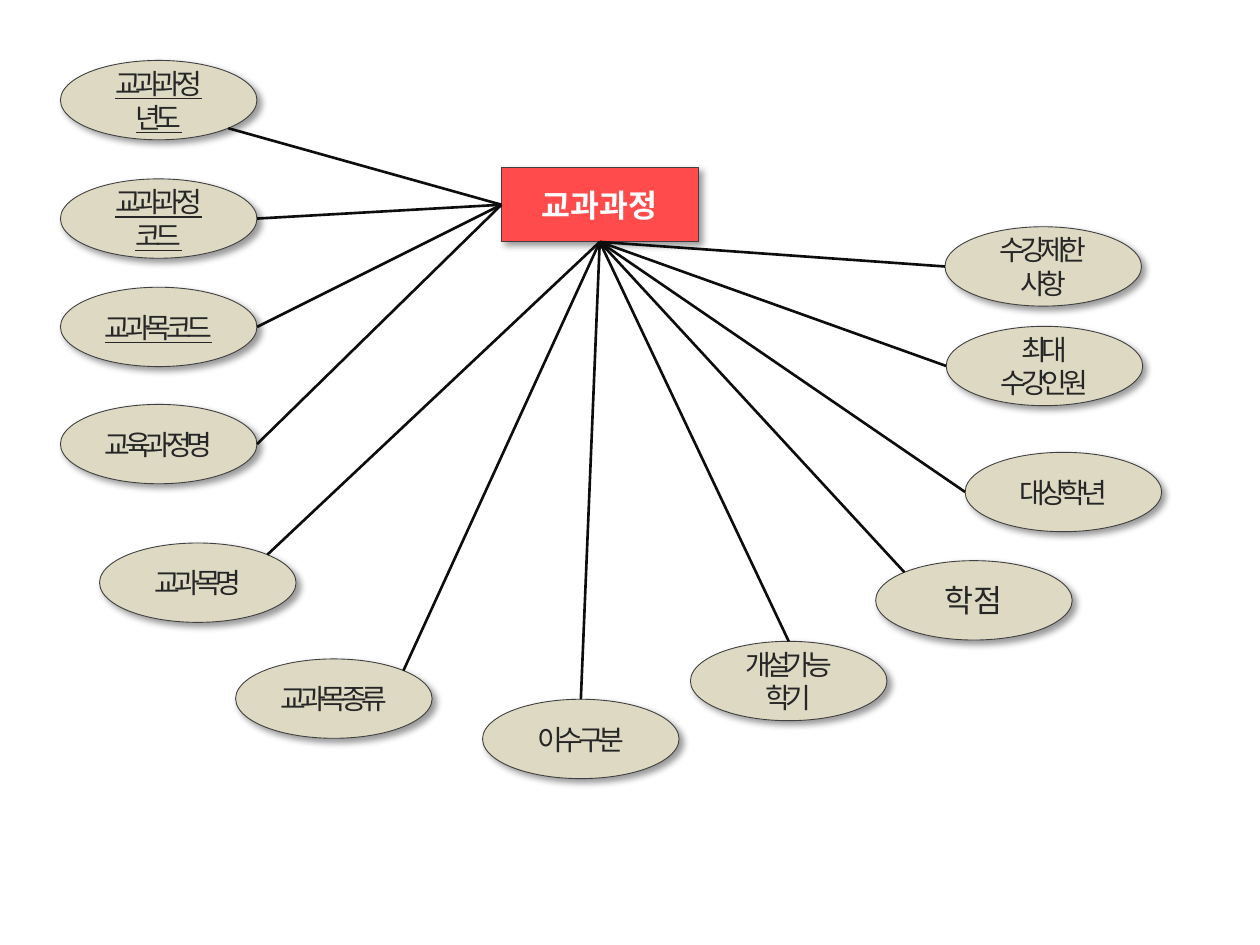
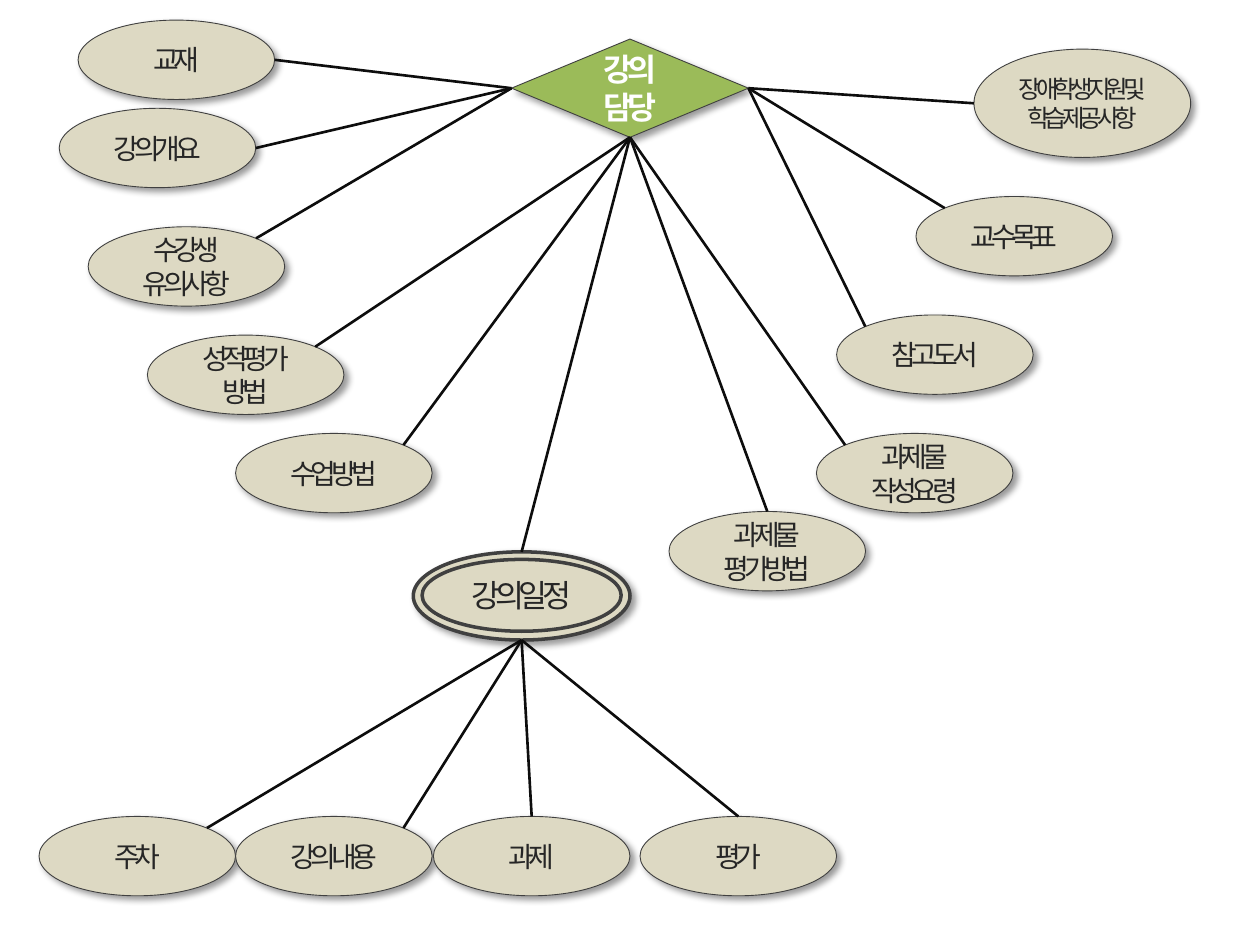
from dataclasses import dataclass

from lxml import etree
from pptx import Presentation
from pptx.dml.color import RGBColor
from pptx.enum.shapes import MSO_CONNECTOR as Connector, MSO_SHAPE as Shape
from pptx.enum.text import MSO_ANCHOR as Anchor, PP_ALIGN as Align
from pptx.oxml import parse_xml
from pptx.oxml.ns import nsdecls, qn
from pptx.util import Inches, Pt

FONT = "Noto Sans CJK KR"
OVAL_FILL = "DDD9C3"
ENTITY_FILL = "FF4B4B"
RELATION_FILL = "9BBB59"
OUTLINE = "404040"
INK = "262626"
WHITE = "FFFFFF"
LINK = "0D0D0D"

# 4 pt blur, 3 pt offset towards the lower right, 40 % black
SHADOW = (
    f'<a:outerShdw {nsdecls("a")} blurRad="50800" dist="38100" dir="2700000" '
    'algn="tl" rotWithShape="0"><a:srgbClr val="000000">'
    '<a:alpha val="40000"/></a:srgbClr></a:outerShdw>'
)

# Where a link meets a node, as fractions of its width and height
SITES = {
    "top": (0.5, 0), "bottom": (0.5, 1), "left": (0, 0.5), "right": (1, 0.5),
    "top left": (0.146, 0.146), "top right": (0.854, 0.146),
    "bottom right": (0.854, 0.854),
}


@dataclass
class Attribute:
    """An oval of the diagram and the sites its link joins."""
    label: str
    left: float
    top: float
    hub_site: str
    site: str
    width: float = 1.56
    height: float = 0.63
    size: int = 16
    spacing: int = -3
    key: bool = False


def rgb(value):
    """Turn a hex string into a colour."""
    return RGBColor.from_string(value)


def add_node(shapes, kind, box, label="", fill=OVAL_FILL, ink=INK, size=18,
             spacing=-3, bold=None, key=None, outline=0.5, shadow=True):
    """Draw an outlined node with centred text; key labels are underlined."""
    node = shapes.add_shape(kind, *map(Inches, box))
    node.fill.solid()
    node.fill.fore_color.rgb = rgb(fill)
    node.line.color.rgb = rgb(OUTLINE)
    node.line.width = Pt(outline)
    node.shadow.inherit = False
    if shadow:
        effects = node.element.spPr.find(qn("a:effectLst"))
        effects.append(parse_xml(SHADOW))
    if not label:
        return
    frame = node.text_frame
    frame.text = label
    frame.word_wrap = False
    frame.vertical_anchor = Anchor.MIDDLE
    for paragraph in frame.paragraphs:
        paragraph.alignment = Align.CENTER
        for run in paragraph.runs:
            run.font.name = FONT
            run.font.size = Pt(size)
            run.font.bold = bold
            run.font.underline = key
            run.font.color.rgb = rgb(ink)
            properties = run.font._element
            properties.set("spc", str(spacing * 100))
            etree.SubElement(properties, qn("a:ea"), typeface=FONT)


deck = Presentation()
deck.slide_width, deck.slide_height = Inches(10), Inches(7.5)
curriculum_slide, lecture_slide = (
    deck.slides.add_slide(deck.slide_layouts[6]) for _ in range(2))

curriculum_box = (3.98, 1.33, 1.56, 0.59)
lecture_box = (4.06, 0.31, 1.88, 0.78)
schedule_box = (3.28, 4.38, 1.72, 0.7)

curriculum_attributes = [
    Attribute("교과과정\n년도", 0.48, 0.48, "left", "bottom right", key=True),
    Attribute("교과과정\n코드 ", 0.48, 1.42, "left", "right", key=True),
    Attribute("교과목코드", 0.48, 2.28, "left", "right", key=True),
    Attribute("교육과정명", 0.48, 3.21, "left", "right"),
    Attribute("교과목명", 0.79, 4.31, "bottom", "top right"),
    Attribute("교과목종류", 1.87, 5.23, "bottom", "top right"),
    Attribute("이수구분", 3.83, 5.55, "bottom", "top"),
    Attribute("개설가능\n학기", 5.48, 5.09, "bottom", "top"),
    Attribute("학점", 6.95, 4.45, "bottom", "top left", size=18, spacing=0),
    Attribute("대상학년", 7.66, 3.59, "bottom", "left"),
    Attribute("최대\n수강인원", 7.51, 2.59, "bottom", "left"),
    Attribute("수강제한\n사항", 7.5, 1.8, "bottom", "left"),
]
lecture_attributes = [
    Attribute("교재", 0.62, 0.16, "left", "right"),
    Attribute("강의개요", 0.47, 0.86, "left", "right"),
    Attribute("수강생\n유의사항", 0.7, 1.8, "left", "top right"),
    Attribute("성적평가\n방법", 1.17, 2.66, "bottom", "top right"),
    Attribute("수업방법", 1.87, 3.44, "bottom", "top right"),
    Attribute("과제물\n평가방법", 5.31, 4.06, "bottom", "top"),
    Attribute("과제물\n작성요령", 6.48, 3.44, "bottom", "top left"),
    Attribute("참고도서", 6.64, 2.5, "right", "top left"),
    Attribute("교수목표", 7.27, 1.56, "right", "top left"),
    Attribute("장애학생지원 및\n학습제공사항", 7.73, 0.39, "right", "left",
              width=1.72, height=0.86, size=14),
]
schedule_attributes = [
    Attribute("주차", 0.31, 6.48, "bottom", "top right"),
    Attribute("강의내용", 1.87, 6.48, "bottom", "top right"),
    Attribute("과제", 3.44, 6.48, "bottom", "top"),
    Attribute("평가", 5.08, 6.48, "bottom", "top"),
]

# Hubs: the entity, the relation and the double oval of the lecture schedule
add_node(curriculum_slide.shapes, Shape.FLOWCHART_PROCESS, curriculum_box,
         "교과과정", ENTITY_FILL, WHITE, spacing=0, bold=True)
add_node(lecture_slide.shapes, Shape.FLOWCHART_DECISION, lecture_box,
         "강의\n담당", RELATION_FILL, WHITE, bold=True)
schedule = lecture_slide.shapes.add_group_shape()
add_node(schedule.shapes, Shape.OVAL, schedule_box, outline=2)
add_node(schedule.shapes, Shape.OVAL, (3.35, 4.44, 1.58, 0.57), "강의일정",
         outline=2, shadow=False)

# Attribute ovals, each remembering its link to the hub
links = [(lecture_slide, lecture_box, "bottom", schedule_box, "top")]
for slide, hub_box, attributes in (
        (curriculum_slide, curriculum_box, curriculum_attributes),
        (lecture_slide, lecture_box, lecture_attributes),
        (lecture_slide, schedule_box, schedule_attributes)):
    for item in attributes:
        box = (item.left, item.top, item.width, item.height)
        add_node(slide.shapes, Shape.OVAL, box, item.label, size=item.size,
                 spacing=item.spacing, key=item.key or None)
        links.append((slide, hub_box, item.hub_site, box, item.site))

# Links run from site to site
for slide, hub_box, hub_site, box, site in links:
    ends = []
    for (left, top, width, height), name in ((hub_box, hub_site), (box, site)):
        across, down = SITES[name]
        ends += [Inches(left + across * width), Inches(top + down * height)]
    link = slide.shapes.add_connector(Connector.STRAIGHT, *ends)
    link.line.color.rgb = rgb(LINK)
    link.line.width = Pt(1.5)
    etree.SubElement(link._element.spPr, qn("a:effectLst"))

deck.save("out.pptx")
